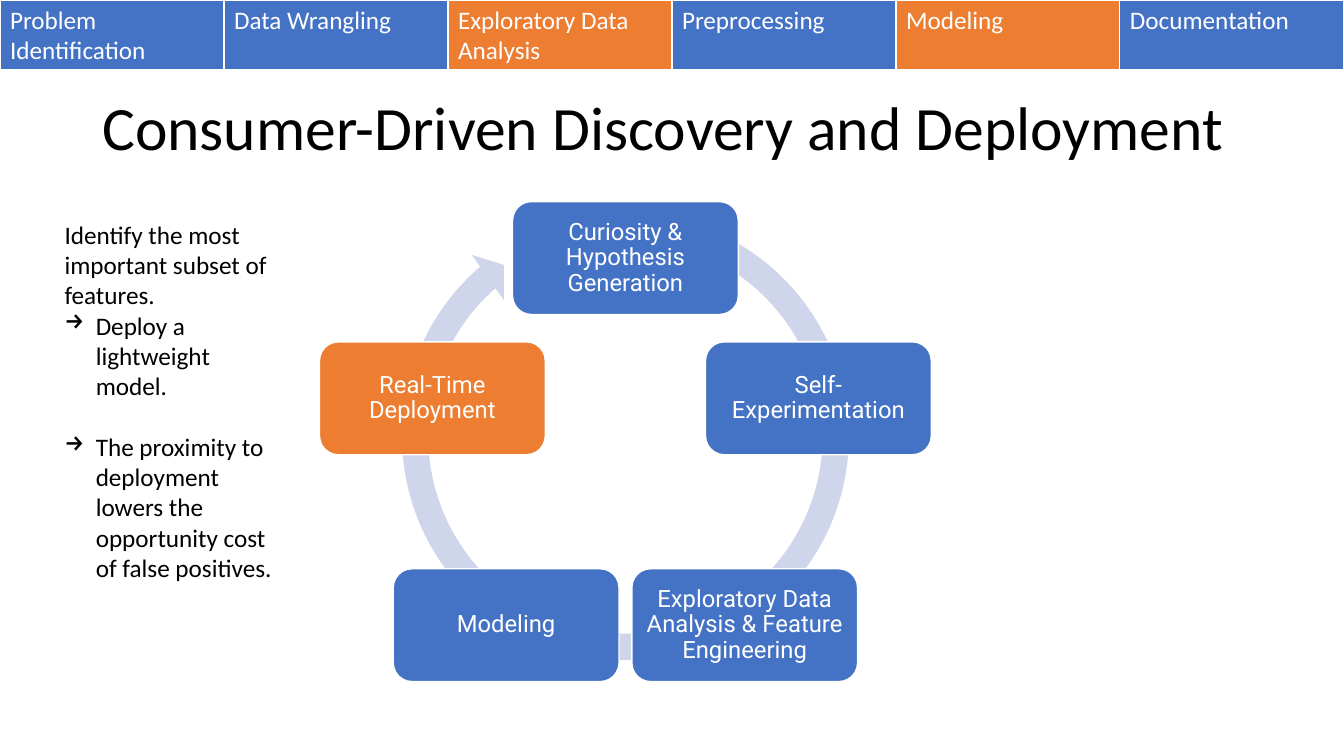
from dataclasses import dataclass
from math import cos, pi, sin

from lxml.etree import SubElement
from pptx import Presentation
from pptx.dml.color import RGBColor
from pptx.enum.shapes import MSO_SHAPE as Preset
from pptx.enum.text import MSO_ANCHOR as Anchor, MSO_AUTO_SIZE as AutoSize, PP_ALIGN as Align
from pptx.oxml.ns import qn
from pptx.util import Emu, Inches, Pt


@dataclass(frozen=True)
class Theme:
    blue: RGBColor = RGBColor(0x44, 0x72, 0xC4)
    orange: RGBColor = RGBColor(0xED, 0x7D, 0x31)
    pale: RGBColor = RGBColor(0xCF, 0xD5, 0xEA)
    black: RGBColor = RGBColor(0, 0, 0)
    white: RGBColor = RGBColor(0xFF, 0xFF, 0xFF)
    body_face: str = "Calibri"
    cycle_face: str = "Roboto"
    title_size: int = 44
    body_size: int = 18
    cycle_size: int = 17


@dataclass(frozen=True)
class Area:
    column: float
    row: float
    columns: float
    rows: float

    def box(self) -> tuple:
        return tuple(cells(n) for n in (self.column, self.row, self.columns, self.rows))


@dataclass(frozen=True)
class Stage:
    label: str
    highlighted: bool = False

    @property
    def color(self) -> RGBColor:
        return THEME.orange if self.highlighted else THEME.blue


@dataclass(frozen=True)
class Remark:
    text: str
    bulleted: bool = False
    space_after: float = 0


THEME = Theme()
GRID_COLUMNS, GRID_ROWS = 160, 90
CELL = Inches(1) / 12

TITLE = "Consumer-Driven Discovery and Deployment"
TITLE_AREA = Area(11, 8.87, 138, 13.25)
REMARKS_AREA = Area(6.5, 25.5, 28, 44.9)
PHASES_AREA = Area(0, 0, GRID_COLUMNS, 8.4)
ARROW_AREA = Area(46.14, 23.64, 56.64, 56.64)
ARROW_SHAPE = (0.055, 3.307, 137.48, 174.03, 0.058)
RING_COLUMN, RING_ROW, RING_RADIUS = 74.46, 54.88, 24.16
NODE_COLUMNS, NODE_ROWS = 26.88, 13.44

PHASES = [
    Stage("Problem Identification"),
    Stage("Data Wrangling"),
    Stage("Exploratory Data Analysis", True),
    Stage("Preprocessing"),
    Stage("Modeling", True),
    Stage("Documentation"),
]
CYCLE = [
    Stage("Curiosity & Hypothesis Generation"),
    Stage("Self-Experimentation"),
    Stage("Exploratory Data Analysis & Feature Engineering"),
    Stage("Modeling"),
    Stage("Real-Time Deployment", True),
]
REMARKS = [
    Remark("Identify the most important subset of features."),
    Remark("Deploy a lightweight model.", True, 21.8),
    Remark("The proximity to deployment lowers the opportunity cost of false positives.", True),
]


def cells(count: float) -> Emu:
    return Emu(round(count * CELL))


def style(paragraph, size: int, face: str, color: RGBColor) -> None:
    paragraph.font.size = Pt(size)
    paragraph.font.name = face
    paragraph.font.color.rgb = color


def add_title(slide) -> None:
    frame = slide.shapes.add_textbox(*TITLE_AREA.box()).text_frame
    frame.word_wrap = True
    frame.vertical_anchor = Anchor.MIDDLE
    heading = frame.paragraphs[0]
    heading.text = TITLE
    heading.line_spacing = 0.9
    style(heading, THEME.title_size, THEME.body_face, THEME.black)


def add_node(cycle, stage: Stage, angle: float) -> None:
    area = Area(
        RING_COLUMN + RING_RADIUS * sin(angle) - NODE_COLUMNS / 2,
        RING_ROW - RING_RADIUS * cos(angle) - NODE_ROWS / 2,
        NODE_COLUMNS,
        NODE_ROWS,
    )
    node = cycle.shapes.add_shape(Preset.ROUNDED_RECTANGLE, *area.box())
    node.shadow.inherit = False
    node.fill.solid()
    node.fill.fore_color.rgb = stage.color
    node.line.color.rgb = THEME.white
    node.line.width = Pt(1)
    frame = node.text_frame
    frame.word_wrap = True
    frame.vertical_anchor = Anchor.MIDDLE
    frame.margin_left = frame.margin_right = Inches(0.07)
    frame.margin_top = frame.margin_bottom = Inches(0.07)
    label = frame.paragraphs[0]
    label.text = stage.label
    label.alignment = Align.CENTER
    label.line_spacing = 0.9
    style(label, THEME.cycle_size, THEME.cycle_face, THEME.white)


def add_cycle(slide) -> None:
    cycle = slide.shapes.add_group_shape()
    arrow = cycle.shapes.add_shape(Preset.CIRCULAR_ARROW, *ARROW_AREA.box())
    for index, value in enumerate(ARROW_SHAPE):
        arrow.adjustments[index] = value
    arrow.shadow.inherit = False
    arrow.fill.solid()
    arrow.fill.fore_color.rgb = THEME.pale
    arrow.line.fill.background()
    for index, stage in enumerate(CYCLE):
        add_node(cycle, stage, 2 * pi * index / len(CYCLE))


def add_borders(cell) -> None:
    properties = cell._tc.get_or_add_tcPr()
    for side, width in (("L", 1), ("R", 1), ("T", 1), ("B", 3)):
        border = SubElement(properties, qn(f"a:ln{side}"), w=str(Pt(width)))
        fill = SubElement(border, qn("a:solidFill"))
        SubElement(fill, qn("a:srgbClr"), val=str(THEME.white))


def add_phases(slide) -> None:
    phases = slide.shapes.add_table(1, len(PHASES), *PHASES_AREA.box()).table
    phases.horz_banding = False
    for index, stage in enumerate(PHASES):
        phases.columns[index].width = cells(GRID_COLUMNS / len(PHASES))
        cell = phases.cell(0, index)
        add_borders(cell)
        cell.fill.solid()
        cell.fill.fore_color.rgb = stage.color
        label = cell.text_frame.paragraphs[0]
        label.text = stage.label
        label.font.bold = False
        style(label, THEME.body_size, THEME.body_face, THEME.white)


def add_bullet(paragraph) -> None:
    properties = paragraph._p.get_or_add_pPr()
    properties.set("marL", str(Inches(0.31)))
    properties.set("indent", str(-Inches(0.31)))
    SubElement(properties, qn("a:buChar"), char="→")


def add_remarks(slide) -> None:
    frame = slide.shapes.add_textbox(*REMARKS_AREA.box()).text_frame
    frame.word_wrap = True
    frame.auto_size = AutoSize.SHAPE_TO_FIT_TEXT
    for index, remark in enumerate(REMARKS):
        paragraph = frame.add_paragraph() if index else frame.paragraphs[0]
        paragraph.text = remark.text
        if remark.bulleted:
            add_bullet(paragraph)
        paragraph.space_after = Pt(remark.space_after)
        style(paragraph, THEME.body_size, THEME.body_face, THEME.black)


def main() -> None:
    deck = Presentation()
    deck.slide_width = cells(GRID_COLUMNS)
    deck.slide_height = cells(GRID_ROWS)
    slide = deck.slides.add_slide(deck.slide_layouts[6])
    add_title(slide)
    add_cycle(slide)
    add_phases(slide)
    add_remarks(slide)
    deck.save("out.pptx")


if __name__ == "__main__":
    main()
